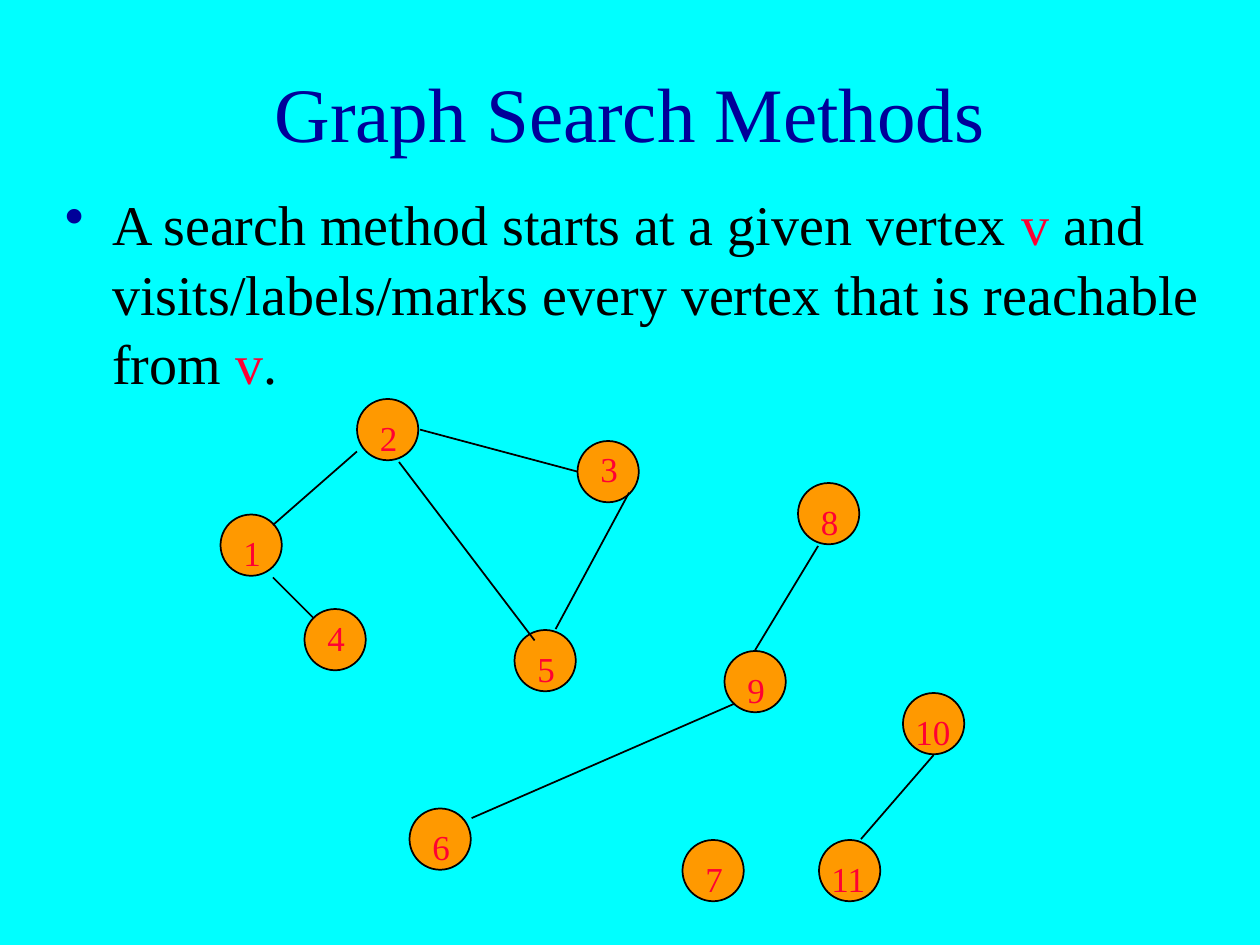
"""Build a slide on graph search methods with a sample graph."""
from dataclasses import dataclass

from lxml.etree import SubElement
from pptx import Presentation
from pptx.dml.color import RGBColor
from pptx.enum.shapes import MSO_CONNECTOR, MSO_SHAPE
from pptx.enum.text import MSO_ANCHOR, PP_ALIGN
from pptx.oxml.ns import qn
from pptx.util import Pt


@dataclass(frozen=True)
class Theme:
    """Hold colours, font and type sizes."""
    back: str = "00FFFF"
    head: str = "000099"
    ink: str = "000000"
    mark: str = "FF0033"
    node: str = "FF9900"
    font: str = "Times New Roman"
    title: int = 44
    body: int = 32
    label: int = 20
    lead: float = 1.04
    line: int = 1


THEME = Theme()
SIZE = 35

NODES = {
    "1": (126, 294), "2": (204, 228), "3": (330, 252), "4": (174, 348),
    "5": (294, 360), "6": (234, 462), "7": (390, 480), "8": (456, 276),
    "9": (414, 372), "10": (516, 396), "11": (468, 480),
}
SHIFTS = {"3": (6, -0.5), "4": (6, 0), "10": (0, 5.5), "11": (0, 5.5)}
EDGES = [
    (204, 258, 156, 300), (228, 264, 305.5, 366),
    (156, 330, 179.5, 353.5), (359.5, 281.5, 317.5, 359.5),
    (467.5, 312, 431.5, 371.5), (492, 479.5, 533.5, 431.5),
    (240, 245.5, 330, 269.5), (269.5, 467.5, 420, 402),
]


def rgb(code):
    """Turn a hex code into a colour."""
    return RGBColor.from_string(code)


def add_text(slide, box, runs, size, align=PP_ALIGN.LEFT,
             anchor=MSO_ANCHOR.TOP, bullet=None):
    """Add a text box of (text, colour) runs and return it."""
    shape = slide.shapes.add_textbox(*map(Pt, box))
    frame = shape.text_frame
    frame.word_wrap = True
    frame.vertical_anchor = anchor
    para = frame.paragraphs[0]
    para.alignment = align
    para.line_spacing = THEME.lead
    for text, colour in runs:
        run = para.add_run()
        run.text = text
        run.font.name = THEME.font
        run.font.size = Pt(size)
        run.font.color.rgb = rgb(colour)
    if bullet:
        add_bullet(para, bullet)
    return shape


def add_bullet(para, colour):
    """Give a paragraph a coloured bullet and a hanging indent."""
    props = para._p.get_or_add_pPr()
    props.set("marL", str(Pt(27)))
    props.set("indent", str(-Pt(27)))
    tint = SubElement(props, qn("a:buClr"))
    SubElement(tint, qn("a:srgbClr"), val=colour)
    SubElement(props, qn("a:buChar"), char="•")


def add_node(slide, left, top):
    """Add a round graph vertex."""
    shape = slide.shapes.add_shape(
        MSO_SHAPE.OVAL, Pt(left), Pt(top), Pt(SIZE), Pt(SIZE))
    shape.shadow.inherit = False
    shape.fill.solid()
    shape.fill.fore_color.rgb = rgb(THEME.node)
    shape.line.color.rgb = rgb(THEME.ink)
    shape.line.width = Pt(THEME.line)


def add_edge(slide, ends):
    """Add a straight graph edge."""
    edge = slide.shapes.add_connector(
        MSO_CONNECTOR.STRAIGHT, *map(Pt, ends))
    edge.line.color.rgb = rgb(THEME.ink)
    edge.line.width = Pt(THEME.line)
    SubElement(edge._element.spPr, qn("a:effectLst"))


def add_label(slide, name, left, top):
    """Add the number of a vertex."""
    right, down = SHIFTS.get(name, (6, 5.5))
    box = (left + right, top + down, 18 * len(name), 31)
    add_text(slide, box, [(name, THEME.mark)], THEME.label)


def main():
    """Build and save the slide."""
    deck = Presentation()
    deck.slide_width, deck.slide_height = Pt(720), Pt(540)
    slide = deck.slides.add_slide(deck.slide_layouts[6])
    slide.background.fill.solid()
    slide.background.fill.fore_color.rgb = rgb(THEME.back)

    add_text(slide, (54, 18, 612, 90),
             [("Graph Search Methods", THEME.head)], THEME.title,
             align=PP_ALIGN.CENTER, anchor=MSO_ANCHOR.MIDDLE)
    add_text(slide, (30, 103, 690, 137), [
        ("A search method starts at a given vertex ", THEME.ink),
        ("v ", THEME.mark),
        ("and visits/labels/marks every vertex that is reachable from ",
         THEME.ink),
        ("v", THEME.mark),
        (".", THEME.ink),
    ], THEME.body, bullet=THEME.head)

    for spot in NODES.values():
        add_node(slide, *spot)
    for ends in EDGES:
        add_edge(slide, ends)
    for name, spot in NODES.items():
        add_label(slide, name, *spot)

    deck.save("out.pptx")


if __name__ == "__main__":
    main()
